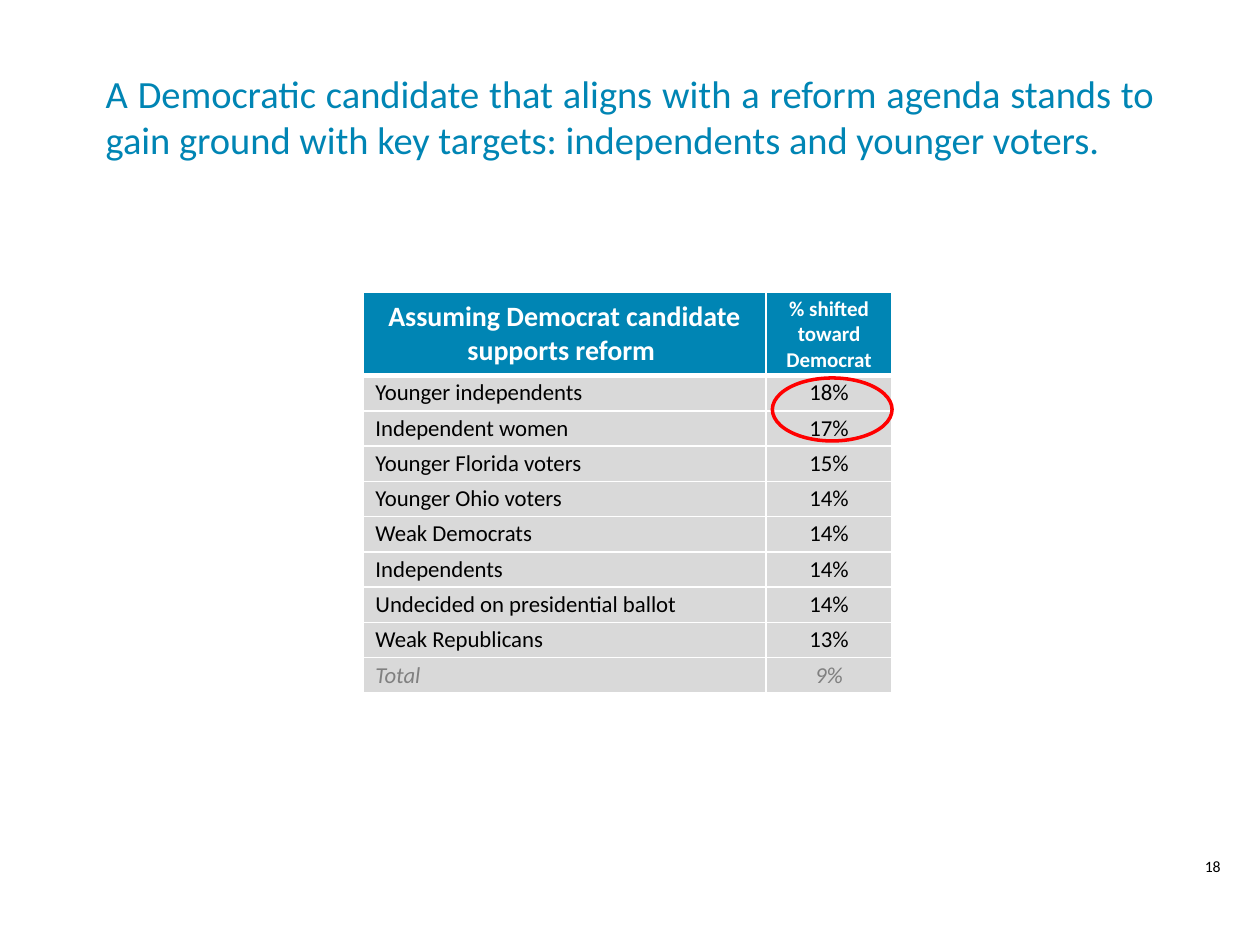
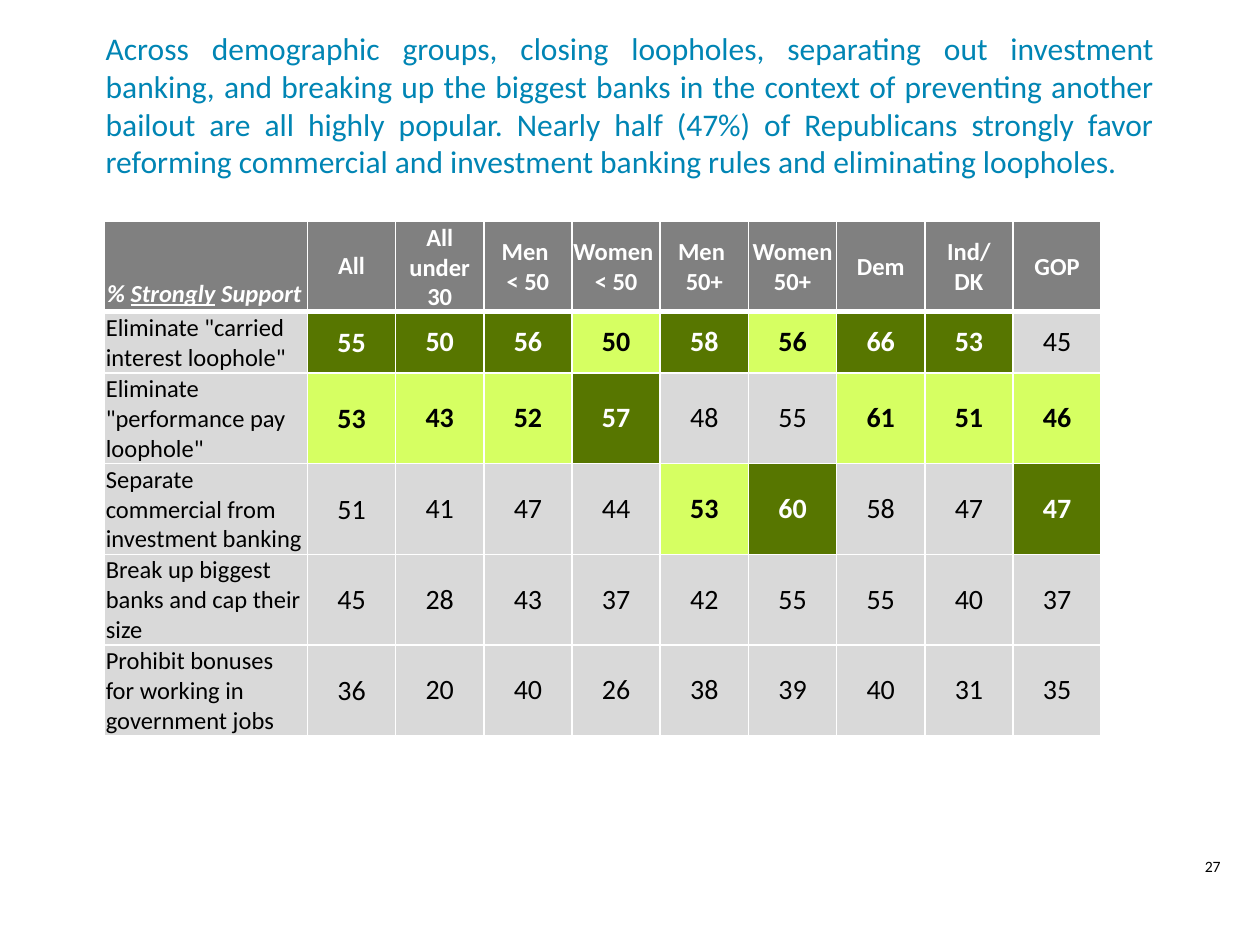
from pptx import Presentation
from pptx.dml.color import RGBColor
from pptx.enum.shapes import MSO_SHAPE
from pptx.enum.text import MSO_ANCHOR, PP_ALIGN
from pptx.oxml import parse_xml
from pptx.oxml.ns import nsdecls
from pptx.util import Inches, Pt

COLORS = {
    "title": "0085B4", "text": "000000", "white": "FFFFFF", "muted": "808080",
    "cell": "D9D9D9", "first": "577600", "second": "D6FF62", "circle": "FF0000",
}
FONT = "Calibri"
TITLE_LEFT, TITLE_WIDTH, TITLE_HEIGHT = 0.74, 8.52, 1.16
NUMBER_BOX = (9.25, 6.75, 0.75, 0.33)
WIDE_INSETS = (0.1, 0.03, 0.1, 0.03)
EVEN_INSETS = (0.02, 0.02, 0.02, 0.02)
TIGHT_INSETS = (0.01, 0.01, 0.01, 0)

SHIFT_HEADER = ("Assuming Democrat candidate supports reform ", "% shifted toward Democrat")
SHIFTS = [
    ("Younger independents", "18%"),
    ("Independent women", "17%"),
    ("Younger Florida voters", "15%"),
    ("Younger Ohio voters", "14%"),
    ("Weak Democrats", "14%"),
    ("Independents", "14%"),
    ("Undecided on presidential ballot", "14%"),
    ("Weak Republicans", "13%"),
    ("Total", "9%"),
]

GROUPS = ["All", "All under 30", "Men \n< 50", "Women \n< 50", "Men \n50+",
          "Women 50+", "Dem", "Ind/\nDK", "GOP"]
SUPPORT = [
    ('Eliminate "carried interest loophole"', [55, 50, 56, 50, 58, 56, 66, 53, 45]),
    ('Eliminate "performance pay loophole"', [53, 43, 52, 57, 48, 55, 61, 51, 46]),
    ("Separate commercial from investment banking", [51, 41, 47, 44, 53, 60, 58, 47, 47]),
    ("Break up biggest banks and cap their size", [45, 28, 43, 37, 42, 55, 55, 40, 37]),
    ("Prohibit bonuses for working in government jobs", [36, 20, 40, 26, 38, 39, 40, 31, 35]),
]


def add_span(para, text, size, color="text", **formats):
    """Append one formatted run to a paragraph."""
    span = para.add_run()
    span.text = text
    for name, value in {"name": FONT, "size": Pt(size), **formats}.items():
        setattr(span.font, name, value)
    span.font.color.rgb = RGBColor.from_string(COLORS[color])


def add_text(page, box, text, size, color, align, anchor):
    """Add a wrapping one-paragraph text box."""
    frame = page.shapes.add_textbox(*map(Inches, box)).text_frame
    frame.word_wrap = True
    frame.vertical_anchor = anchor
    frame.paragraphs[0].alignment = align
    add_span(frame.paragraphs[0], text, size, color)


def add_page(deck, title, title_top, title_size, number):
    """Add a blank page with its title and page number."""
    page = deck.slides.add_slide(deck.slide_layouts[6])
    add_text(page, (TITLE_LEFT, title_top, TITLE_WIDTH, TITLE_HEIGHT), title,
             title_size, "title", PP_ALIGN.JUSTIFY, MSO_ANCHOR.MIDDLE)
    add_text(page, NUMBER_BOX, str(number), 9, "text", PP_ALIGN.CENTER, MSO_ANCHOR.TOP)
    return page


def add_grid(page, left, top, widths, heights):
    """Add a plain table with white rules and a thick rule under the header."""
    frame = page.shapes.add_table(len(heights), len(widths), Inches(left), Inches(top),
                                  Inches(sum(widths)), Inches(sum(heights)))
    table = frame.table
    table.horz_banding = False
    for column, width in zip(table.columns, widths):
        column.width = Inches(width)
    for index, (row, height) in enumerate(zip(table.rows, heights)):
        row.height = Inches(height)
        points = {"L": 1, "R": 1, "T": 3 if index == 1 else 1, "B": 3 if index == 0 else 1}
        for cell in row.cells:
            properties = cell._tc.get_or_add_tcPr()
            for side, width in points.items():
                properties.append(parse_xml(
                    f'<a:ln{side} {nsdecls("a")} w="{Pt(width)}"><a:solidFill>'
                    f'<a:srgbClr val="{COLORS["white"]}"/></a:solidFill></a:ln{side}>'))
    return table


def style_cell(cell, fill, insets, anchor=MSO_ANCHOR.MIDDLE):
    """Set a cell's fill, margins and anchor."""
    cell.fill.solid()
    cell.fill.fore_color.rgb = RGBColor.from_string(COLORS[fill])
    cell.vertical_anchor = anchor
    for side, inset in zip(("left", "top", "right", "bottom"), insets):
        setattr(cell, f"margin_{side}", Inches(inset))


def write_cell(cell, text, fill, insets, align, size, color="text", **formats):
    """Style a cell and write one paragraph for each line of text."""
    style_cell(cell, fill, insets)
    frame = cell.text_frame
    for index, line in enumerate(text.split("\n")):
        para = frame.add_paragraph() if index else frame.paragraphs[0]
        para.alignment = align
        add_span(para, line, size, color, **formats)


def add_shift_table(page, left, top):
    """Add the table of voter shifts and circle its two highest values."""
    header_height, row_height, widths = 0.66, 0.28, (3.2, 1)
    table = add_grid(page, left, top, widths, [header_height] + [row_height] * len(SHIFTS))
    for column, (text, size) in enumerate(zip(SHIFT_HEADER, (16, 12))):
        write_cell(table.cell(0, column), text, "title", WIDE_INSETS, PP_ALIGN.CENTER,
                   size, "white", bold=True)
    for row, values in enumerate(SHIFTS, 1):
        total = row == len(SHIFTS)
        for column, align in enumerate((PP_ALIGN.LEFT, PP_ALIGN.CENTER)):
            write_cell(table.cell(row, column), values[column], "cell", WIDE_INSETS, align,
                       13, "muted" if total else "text", bold=False, italic=total)
    circle = page.shapes.add_shape(MSO_SHAPE.OVAL, Inches(left + 3.25), Inches(top + 0.68),
                                   Inches(0.95), Inches(0.5))
    circle.shadow.inherit = False
    circle.fill.background()
    circle.line.color.rgb = RGBColor.from_string(COLORS["circle"])
    circle.line.width = Pt(2)


def add_support_table(page, left, top):
    """Add the support table, marking the two highest values in each group."""
    table = add_grid(page, left, top, [1.61] + [0.7] * len(GROUPS),
                     [0.71, 0.49] + [0.72] * (len(SUPPORT) - 1))
    corner = table.cell(0, 0)
    style_cell(corner, "muted", EVEN_INSETS, MSO_ANCHOR.BOTTOM)
    for text, underline in (("% ", False), ("Strongly", True), (" Support", False)):
        add_span(corner.text_frame.paragraphs[0], text, 14, "white",
                 bold=True, italic=True, underline=underline)
    for row, (policy, _) in enumerate(SUPPORT, 1):
        write_cell(table.cell(row, 0), policy, "cell", TIGHT_INSETS, PP_ALIGN.LEFT, 14, bold=False)
    for column, group in enumerate(GROUPS, 1):
        write_cell(table.cell(0, column), group, "muted",
                   EVEN_INSETS if column == 1 else TIGHT_INSETS,
                   PP_ALIGN.CENTER, 14, "white", bold=True)
        values = [shares[column - 1] for _, shares in SUPPORT]
        first, second = sorted(values, reverse=True)[:2]
        marks = {first: ("first", "white"), second: ("second", "text")}
        for row, value in enumerate(values, 1):
            fill, color = marks.get(value, ("cell", "text"))
            write_cell(table.cell(row, column), str(value), fill,
                       TIGHT_INSETS if column == 1 else EVEN_INSETS,
                       PP_ALIGN.CENTER, 16, color, bold=value in marks)


def main():
    """Build and save the deck."""
    deck = Presentation()
    deck.slide_width, deck.slide_height = Inches(10), Inches(7.5)
    page = add_page(
        deck, "A Democratic candidate that aligns with a reform agenda stands to gain ground "
        "with key targets: independents and younger voters. ", 0.34, 22, 18)
    add_shift_table(page, 2.88, 2.32)
    page = add_page(
        deck, "Across demographic groups, closing loopholes, separating out investment banking, "
        "and breaking up the biggest banks in the context of preventing another bailout are all "
        "highly popular. Nearly half (47%) of Republicans strongly favor reforming commercial "
        "and investment banking rules and eliminating loopholes.", 0.25, 18, 27)
    add_support_table(page, 0.83, 1.76)
    deck.save("out.pptx")


if __name__ == "__main__":
    main()
